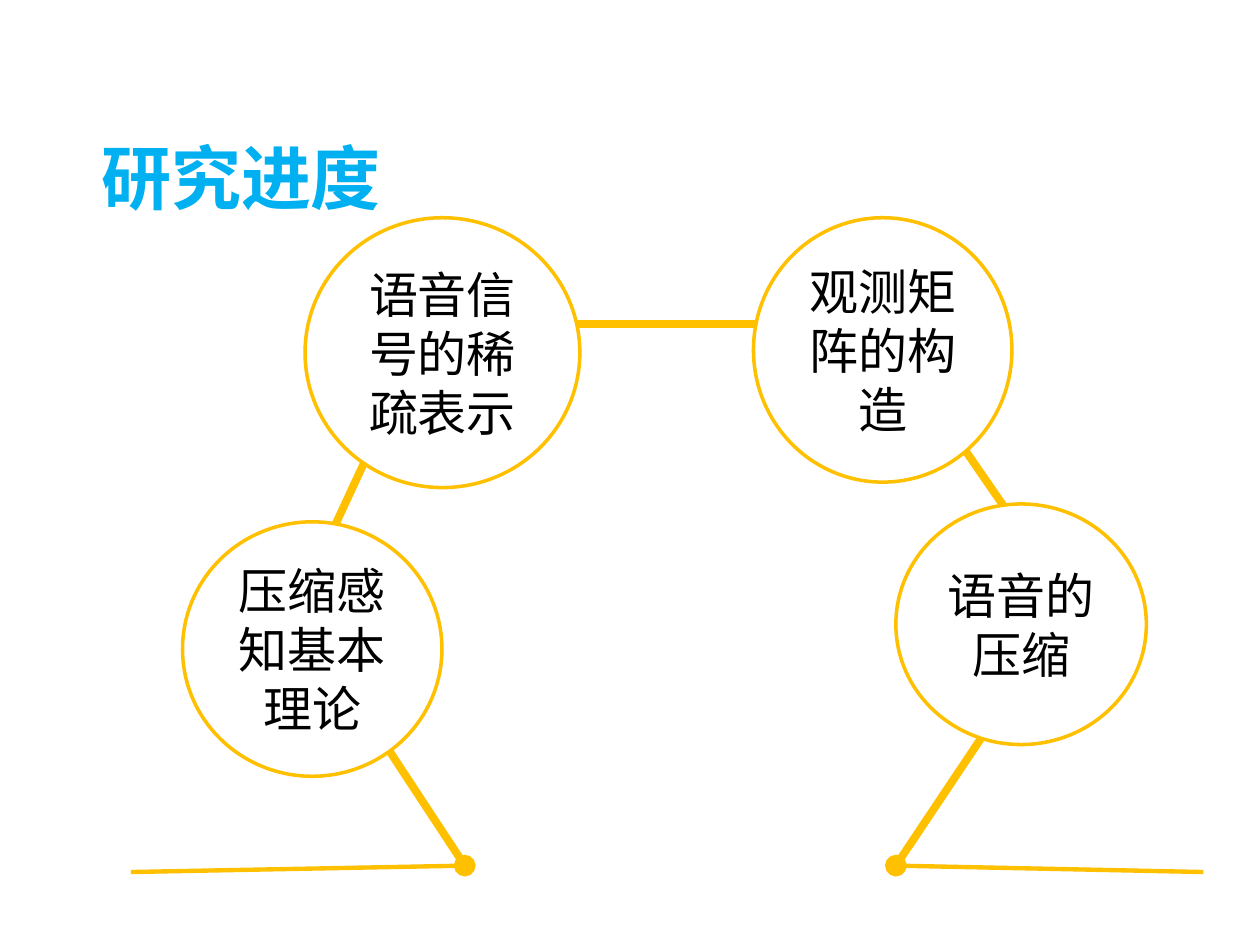
from lxml.etree import SubElement
from pptx import Presentation
from pptx.dml.color import RGBColor
from pptx.enum.shapes import MSO_CONNECTOR as Connector, MSO_SHAPE as Shape
from pptx.enum.text import MSO_ANCHOR as Anchor, PP_ALIGN as Align
from pptx.oxml.ns import qn
from pptx.util import Cm, Pt

AMBER = RGBColor(0xFF, 0xC0, 0x00)
BLUE = RGBColor(0x00, 0xB0, 0xF0)
WHITE = RGBColor(0xFF, 0xFF, 0xFF)
BLACK = RGBColor(0x00, 0x00, 0x00)
FONT = "Noto Sans CJK SC"

TITLE_FORMAT = {"name": FONT, "size": Pt(40), "bold": True}
STAGE_FORMAT = {"name": FONT, "size": Pt(28), "bold": False}
STAGE_FRAME = {
    "word_wrap": True, "vertical_anchor": Anchor.MIDDLE,
    "margin_left": Cm(0.3), "margin_right": Cm(0.3),
    "margin_top": Cm(0.15), "margin_bottom": Cm(0.15),
}

LEFT_FOOT, RIGHT_FOOT = (9.37, 17.45), (18.06, 17.45)
LEFT_END, RIGHT_END = (2.64, 17.58), (24.26, 17.58)
THEORY, SPARSE = (6.02, 12.17), (8.64, 6.53)
MATRIX, COMPRESSION = (17.7, 6.53), (21.59, 12.17)

GROUND_LINES = [
    (LEFT_END, LEFT_FOOT, ("tailEnd",)),
    (RIGHT_FOOT, RIGHT_END, ("headEnd",)),
]
LINKS = [
    ((6.05, 12.4), LEFT_FOOT, ("headEnd",)),
    (THEORY, SPARSE, ("headEnd", "tailEnd")),
    (SPARSE, MATRIX, ("headEnd", "tailEnd")),
    (MATRIX, COMPRESSION, ()),
    (COMPRESSION, RIGHT_FOOT, ()),
]
STAGES = [
    ("压缩感知基本理论", (3.68, 10.52, 5.23, 5.13)),
    ("观测矩阵的构造", (15.19, 4.39, 5.21, 5.33)),
    ("语音信号的稀疏表示", (6.15, 4.39, 5.54, 5.44)),
    ("语音的压缩", (18.06, 10.16, 5.05, 4.85)),
]


def apply_format(target, values):
    """Set each attribute in values on the target."""
    for name, value in values.items():
        setattr(target, name, value)


def write_text(text_frame, text, font_format, color):
    """Write one centred run and return its paragraph."""
    paragraph = text_frame.paragraphs[0]
    paragraph.alignment = Align.CENTER
    run = paragraph.add_run()
    run.text = text
    apply_format(run.font, font_format)
    run.font.color.rgb = color
    SubElement(run.font._element, qn("a:ea"), typeface=FONT)
    return paragraph


def add_title(slide, text, box):
    """Add the slide heading."""
    text_frame = slide.shapes.add_textbox(*map(Cm, box)).text_frame
    text_frame.word_wrap = True
    write_text(text_frame, text, TITLE_FORMAT, BLUE).line_spacing = 0.9


def add_link(slide, start, end, dots, width):
    """Add an amber line with round dots at the named ends."""
    connector = slide.shapes.add_connector(
        Connector.STRAIGHT, *map(Cm, start + end))
    connector.line.color.rgb = AMBER
    connector.line.width = Pt(width)
    properties = connector._element.spPr
    outline = properties.find(qn("a:ln"))
    size = "lg" if width < 4 else "med"
    for dot in dots:
        SubElement(outline, qn(f"a:{dot}"), type="oval", w=size, len=size)
    SubElement(properties, qn("a:effectLst"))


def add_stage(slide, text, box):
    """Add a white circle that names a research stage."""
    shape = slide.shapes.add_shape(Shape.OVAL, *map(Cm, box))
    shape.shadow.inherit = False
    shape.fill.solid()
    shape.fill.fore_color.rgb = WHITE
    shape.line.color.rgb = AMBER
    shape.line.width = Pt(2)
    apply_format(shape.text_frame, STAGE_FRAME)
    write_text(shape.text_frame, text, STAGE_FORMAT, BLACK)


def main():
    """Build the research progress slide."""
    presentation = Presentation()
    presentation.slide_width, presentation.slide_height = Cm(25.4), Cm(19.05)
    slide = presentation.slides.add_slide(presentation.slide_layouts[6])
    add_title(slide, "研究进度", (1.47, 2.77, 6.78, 1.78))
    for line in GROUND_LINES:
        add_link(slide, *line, width=2.5)
    for link in LINKS:
        add_link(slide, *link, width=4.5)
    for stage in STAGES:
        add_stage(slide, *stage)
    presentation.save("out.pptx")


if __name__ == "__main__":
    main()
